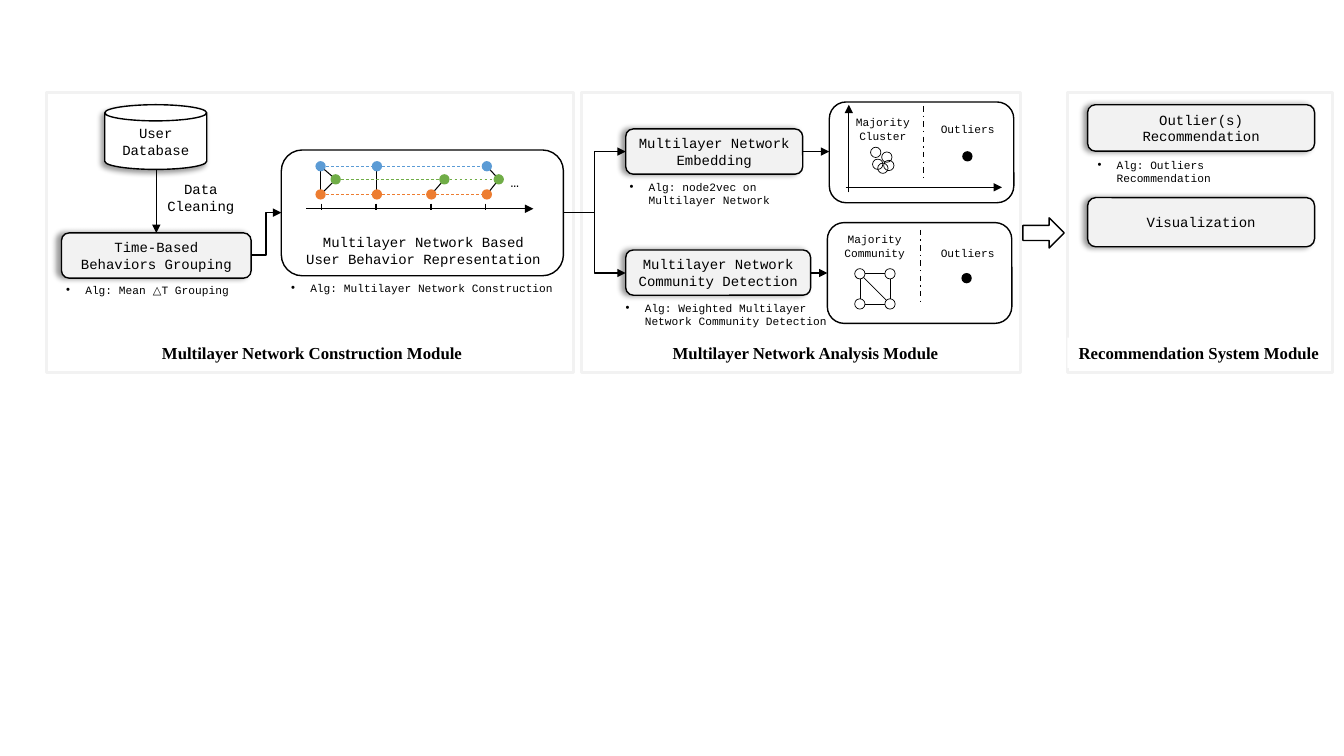
from itertools import pairwise

from lxml.etree import SubElement
from pptx import Presentation
from pptx.dml.color import RGBColor
from pptx.enum.dml import MSO_LINE
from pptx.enum.shapes import MSO_CONNECTOR as LINK, MSO_SHAPE as SHAPE
from pptx.enum.text import MSO_ANCHOR as ANCHOR, PP_ALIGN as ALIGN
from pptx.oxml.ns import qn
from pptx.util import Cm, Pt

BLACK = RGBColor(0, 0, 0)
WHITE = RGBColor(255, 255, 255)
PALE = RGBColor(0xF2, 0xF2, 0xF2)
BLUE = RGBColor(0x5B, 0x9B, 0xD5)
GREEN = RGBColor(0x70, 0xAD, 0x47)
ORANGE = RGBColor(0xED, 0x7D, 0x31)

deck = Presentation()
deck.slide_width, deck.slide_height = Cm(33.87), Cm(19.05)
slide = deck.slides.add_slide(deck.slide_layouts[6])


def add_part(text, at, kind=None, fill=None, line=None, weight=1, shadow=None,
             size=10, font="Courier New", bold=False, align=ALIGN.CENTER,
             anchor=ANCHOR.TOP, wrap=True, bullet=False):
    place = [Cm(length) for length in at]
    if kind is None:
        part = slide.shapes.add_textbox(*place)
    else:
        part = slide.shapes.add_shape(kind, *place)
        part.shadow.inherit = False
        if line is None:
            part.line.fill.background()
        else:
            part.line.color.rgb = line
            part.line.width = Pt(weight)
        if fill is None:
            part.fill.background()
    if fill is not None:
        part.fill.solid()
        part.fill.fore_color.rgb = fill
    if shadow is not None:
        effects = part._element.spPr.find(qn("a:effectLst"))
        outer = SubElement(effects, qn("a:outerShdw"), blurRad=str(Pt(4)), dist=str(Pt(3)),
                           dir=str(shadow * 60000), algn="ctr", rotWithShape="0")
        tint = SubElement(outer, qn("a:srgbClr"), val=str(BLACK))
        SubElement(tint, qn("a:alpha"), val="40000")
    if not text:
        return
    frame = part.text_frame
    frame.word_wrap = wrap
    frame.vertical_anchor = anchor
    for index, wording in enumerate(text.split("\n")):
        paragraph = frame.add_paragraph() if index else frame.paragraphs[0]
        paragraph.alignment = align
        if bullet:
            properties = paragraph._p.get_or_add_pPr()
            properties.set("marL", str(Cm(0.48)))
            properties.set("indent", str(-Cm(0.48)))
            SubElement(properties, qn("a:buFont"), typeface="Arial")
            SubElement(properties, qn("a:buChar"), char="•")
        for piece in wording.replace("△", "|△|").split("|"):
            run = paragraph.add_run()
            run.text = piece
            run.font.name = "Calibri" if piece == "△" else font
            run.font.size = Pt(size)
            run.font.bold = bold
            run.font.color.rgb = BLACK


def add_link(start, end, kind=LINK.STRAIGHT, color=BLACK, weight=1, dash=None, arrow=False):
    link = slide.shapes.add_connector(kind, *[Cm(length) for length in (*start, *end)])
    link.line.color.rgb = color
    link.line.width = Pt(weight)
    if dash is not None:
        link.line.dash_style = dash
    if arrow:
        SubElement(link.line._get_or_add_ln(), qn("a:tailEnd"), type="triangle")
    SubElement(link._element.spPr, qn("a:effectLst"))


modules = [
    ("Multilayer Network Construction Module", 1.17, 13.28, 3.63, 8.48),
    ("Multilayer Network Analysis Module", 14.66, 11.05, 16.66, 7.29),
    ("Recommendation System Module", 26.9, 6.68, 26.9, 6.63),
]
for title, left, width, title_left, title_width in modules:
    add_part("", (left, 2.34, width, 7.04), SHAPE.RECTANGLE, line=PALE, weight=2)
    add_part(title, (title_left, 8.51, title_width, 0.76), fill=WHITE, size=12,
             font="Times New Roman", bold=True, wrap=False)

for panel in [(7.09, 3.78, 7.11, 3.17), (20.9, 2.57, 4.65, 2.54), (20.85, 5.61, 4.65, 2.54)]:
    add_part("", panel, SHAPE.ROUNDED_RECTANGLE, line=BLACK)

steps = [
    ("Time-Based Behaviors Grouping", (1.55, 5.87, 4.78, 1.14)),
    ("Multilayer Network Embedding", (15.77, 3.25, 4.46, 1.14)),
    ("Multilayer Network Community Detection", (15.77, 6.3, 4.66, 1.14)),
    ("Outlier(s)\nRecommendation", (27.41, 2.64, 5.72, 1.17)),
    ("Visualization", (27.41, 4.98, 5.72, 1.24)),
]
for step, at in steps:
    add_part(step, at, SHAPE.ROUNDED_RECTANGLE, fill=PALE, line=BLACK, shadow=180,
             anchor=ANCHOR.MIDDLE)
add_part("User\nDatabase", (2.64, 2.64, 2.57, 1.63), SHAPE.CAN, fill=WHITE, line=BLACK,
         shadow=135, anchor=ANCHOR.MIDDLE)
add_part("", (25.78, 5.49, 1.04, 0.76), SHAPE.RIGHT_ARROW, fill=WHITE, line=BLACK)

algorithms = [
    ("Alg: Mean △T Grouping", (1.42, 7.01, 5, 0.61)),
    ("Alg: Multilayer Network Construction", (7.09, 6.96, 7.26, 0.61)),
    ("Alg: node2vec on Multilayer Network", (15.62, 4.42, 4.57, 0.94)),
    ("Alg: Weighted Multilayer Network Community Detection", (15.52, 7.47, 5.74, 0.94)),
    ("Alg: Outliers Recommendation", (27.41, 3.86, 5.7, 0.94)),
]
for algorithm, at in algorithms:
    add_part(algorithm, at, size=8, align=ALIGN.LEFT, bullet=True)

add_part("Data\nCleaning", (3.94, 4.42, 2.24, 1.12), wrap=False)
add_part("Multilayer Network Based\nUser Behavior Representation", (7.42, 5.77, 6.5, 1.12),
         wrap=False)
add_part("…", (12.62, 4.24, 0.74, 0.69), align=ALIGN.LEFT, wrap=False)

arrows = [
    ((3.94, 4.27), (3.94, 5.87)),
    ((7.72, 5.26), (13.44, 5.26)),
    ((20.23, 3.82), (20.9, 3.82)),
    ((20.43, 6.88), (20.85, 6.88)),
    ((21.31, 4.72), (25.25, 4.72)),
    ((21.39, 4.85), (21.39, 2.64)),
]
for start, end in arrows:
    add_link(start, end, arrow=True)
elbows = [
    ((6.32, 6.43), (7.09, 5.36)),
    ((14.2, 5.36), (15.77, 3.82)),
    ((14.2, 5.36), (15.77, 6.88)),
]
for start, end in elbows:
    add_link(start, end, LINK.ELBOW, arrow=True)

for tick in range(4):
    x = 8.1 + 1.38 * tick
    add_link((x, 5.13), (x, 5.28))

NODE, RADIUS = 0.26, 0.13
layers = [
    (BLUE, 4.19, [8.08, 9.5, 12.27]),
    (GREEN, 4.52, [8.46, 11.2, 12.57]),
    (ORANGE, 4.9, [8.08, 9.5, 10.87, 12.27]),
]
blue, green, orange = [[(x, y) for x in xs] for _, y, xs in layers]
ties = [
    (blue[0], orange[0]), (blue[0], green[0]), (green[0], orange[0]), (blue[1], orange[1]),
    (green[1], orange[2]), (blue[2], green[2]), (green[2], orange[3]),
]
for start, end in ties:
    add_link(start, end, weight=0.75)
for color, y, xs in layers:
    for x, following in pairwise(xs):
        add_link((x + RADIUS, y), (following - RADIUS, y), color=color, weight=0.5,
                 dash=MSO_LINE.DASH)
    for x in xs:
        add_part("", (x - RADIUS, y - RADIUS, NODE, NODE), SHAPE.OVAL, fill=color)

labels = [
    ("Majority Cluster", (21.08, 2.79, 2.34, 0.94)),
    ("Outliers", (23.22, 2.97, 2.34, 0.61)),
    ("Majority Community", (20.85, 5.74, 2.39, 0.94)),
    ("Outliers", (23.22, 6.07, 2.34, 0.61)),
]
for label, at in labels:
    add_part(label, at, size=8)
for x, top in [(23.27, 2.67), (23.19, 5.79)]:
    add_link((x, top), (x, top + 1.9), dash=MSO_LINE.DASH_DOT)
for x, y in [(24.38, 3.94), (24.36, 7.01)]:
    add_part("", (x - RADIUS, y - RADIUS, NODE, NODE), SHAPE.OVAL, fill=BLACK)

cluster = [(22.25, 4.24), (22.12, 4.14), (22.35, 3.96), (22.4, 4.17), (22.07, 3.84)]
west, east, north, south = 21.67, 22.43, 6.9, 7.66
community = [(x, y) for x in (west, east) for y in (north, south)]
for x, y in cluster + community:
    add_part("", (x - RADIUS, y - RADIUS, NODE, NODE), SHAPE.OVAL, line=BLACK, weight=0.5)
for y in (north, south):
    add_link((west + RADIUS, y), (east - RADIUS, y), weight=0.5)
for x in (west, east):
    add_link((x, north + RADIUS), (x, south - RADIUS), weight=0.5)
add_link((west + 0.09, north + 0.09), (east - 0.09, south - 0.09), weight=0.5)

deck.save("out.pptx")
